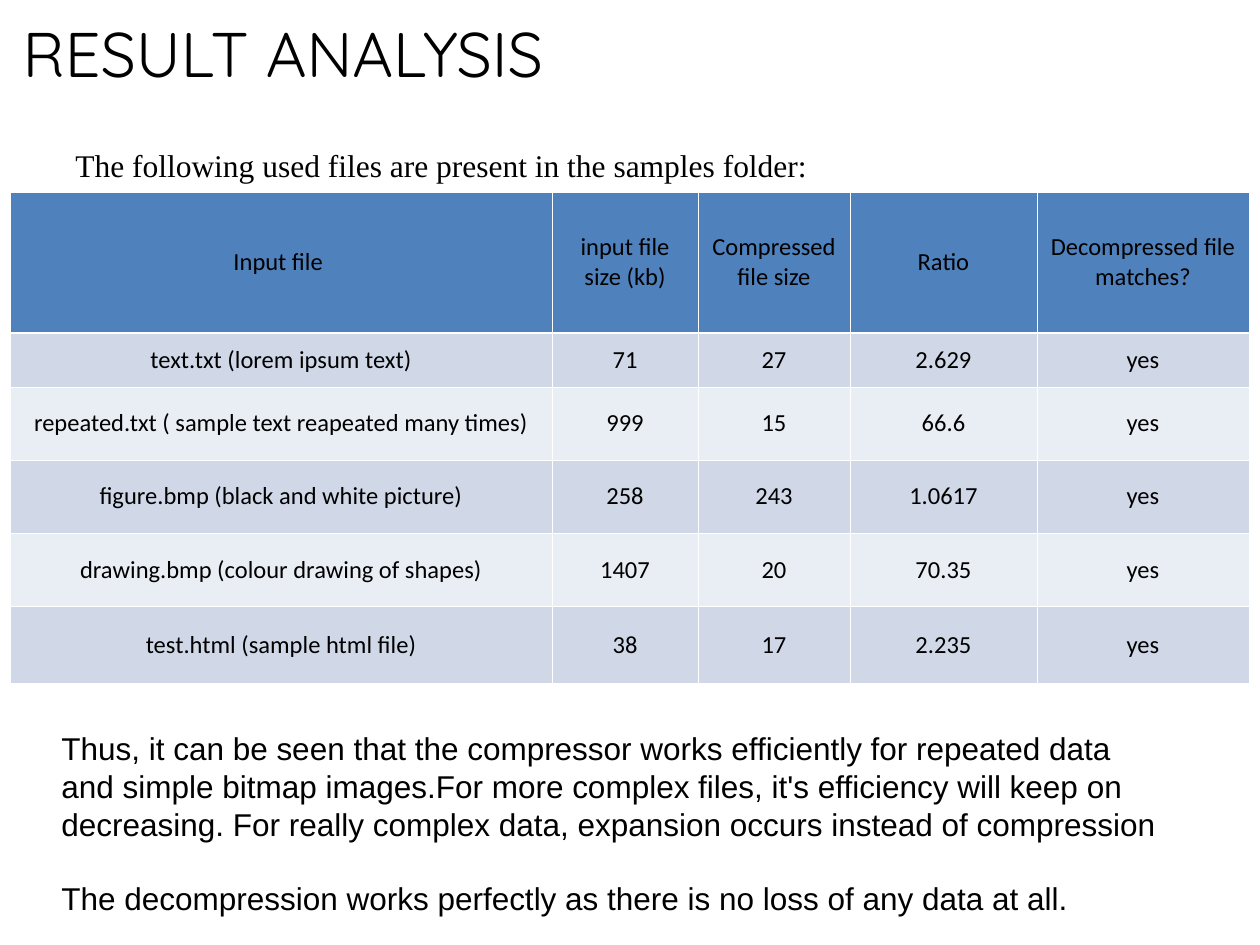
from lxml.etree import SubElement
from pptx import Presentation
from pptx.dml.color import RGBColor
from pptx.enum.text import MSO_ANCHOR, MSO_AUTO_SIZE, PP_ALIGN
from pptx.oxml.ns import qn
from pptx.util import Emu, Pt

BLACK = RGBColor(0x00, 0x00, 0x00)
WHITE = RGBColor(0xFF, 0xFF, 0xFF)
HEADER_BLUE = RGBColor(0x4F, 0x81, 0xBD)
BAND_DARK = RGBColor(0xD0, 0xD8, 0xE8)
BAND_LIGHT = RGBColor(0xE9, 0xED, 0xF4)

RESULTS = [
    ["Input file ", "input file size (kb)", "Compressed file size", "Ratio",
     "Decompressed file matches?"],
    ["text.txt (lorem ipsum text)", "71", "27", "2.629", "yes"],
    ["repeated.txt ( sample text reapeated many times)", "999", "15", "66.6", "yes"],
    ["figure.bmp (black and white picture)", "258", "243", "1.0617", "yes"],
    ["drawing.bmp (colour drawing of shapes)", "1407", "20", "70.35", "yes"],
    ["test.html (sample html file)", "38", "17", "2.235", "yes"],
]
COLUMN_WIDTHS = [542, 146, 152, 187, 212]
ROW_HEIGHTS = [141, 54, 73, 73, 74, 77]
CONCLUSIONS = [
    "Thus, it can be seen that the compressor works efficiently for repeated data "
    "and simple bitmap images.For more complex files, it's efficiency will keep on "
    "decreasing. For really complex data, expansion occurs instead of compression",
    "The decompression works perfectly as there is no loss of any data at all.",
]


def px(length):
    return Emu(round(length * 914400 / 126))


class SlideBuilder:
    """Holds the style and the current slide, and adds elements to it."""

    def __init__(self, slide):
        self.slide = slide
        self.color = BLACK
        self.thin, self.thick = Pt(0.45), Pt(1.47)

    def style(self, paragraph, font_name, size):
        paragraph.font.name = font_name
        paragraph.font.size = Pt(size)
        paragraph.font.color.rgb = self.color

    def title(self, text, left, top, width, height):
        title = self.slide.shapes.title
        title.left, title.top = px(left), px(top)
        title.width, title.height = px(width), px(height)
        frame = title.text_frame
        frame.text = text
        frame.auto_size = MSO_AUTO_SIZE.NONE
        frame.vertical_anchor = MSO_ANCHOR.MIDDLE
        frame.paragraphs[0].alignment = PP_ALIGN.LEFT
        self.style(frame.paragraphs[0], "Quicksand", 36)

    def text(self, paragraphs, left, top, width, height, font_name, gap=0):
        box = self.slide.shapes.add_textbox(px(left), px(top), px(width), px(height))
        frame = box.text_frame
        frame.word_wrap = True
        frame.text = "\n".join(paragraphs)
        for index, paragraph in enumerate(frame.paragraphs):
            self.style(paragraph, font_name, 18)
            if index:
                paragraph.space_before = Pt(gap)
        return frame

    def border(self, cell, side, width):
        line = SubElement(cell._tc.get_or_add_tcPr(), qn(f"a:ln{side}"), w=str(width))
        fill = SubElement(line, qn("a:solidFill"))
        SubElement(fill, qn("a:srgbClr"), val=str(WHITE))

    def cell(self, cell, text, row):
        for side in "LRTB":
            under_header = (row, side) in ((0, "B"), (1, "T"))
            self.border(cell, side, self.thick if under_header else self.thin)
        cell.fill.solid()
        band = BAND_DARK if row % 2 else BAND_LIGHT
        cell.fill.fore_color.rgb = band if row else HEADER_BLUE
        cell.vertical_anchor = MSO_ANCHOR.MIDDLE
        cell.text = text
        paragraph = cell.text_frame.paragraphs[0]
        paragraph.alignment = PP_ALIGN.CENTER
        paragraph.space_before = Pt(3.5)
        self.style(paragraph, "Calibri", 14)

    def table(self, rows, left, top, widths, heights):
        table = self.slide.shapes.add_table(
            len(rows), len(widths), px(left), px(top), px(sum(widths)), px(sum(heights))
        ).table
        for column, width in zip(table.columns, widths):
            column.width = px(width)
        for index, (row, height) in enumerate(zip(table.rows, heights)):
            row.height = px(height)
            for cell, text in zip(row.cells, rows[index]):
                self.cell(cell, text, index)


def main():
    presentation = Presentation()
    presentation.slide_width, presentation.slide_height = px(1260), px(945)
    builder = SlideBuilder(presentation.slides.add_slide(presentation.slide_layouts[5]))

    builder.title("RESULT ANALYSIS", 10, 6, 631, 92)
    intro = builder.text(
        ["The following used files are present in the samples folder:"],
        49, 147, 946, 44, "Times New Roman",
    ).paragraphs[0]
    intro.line_spacing = 0.8
    intro.space_before = Pt(4.5)
    indents = intro._p.get_or_add_pPr()
    indents.set("marL", str(px(33)))
    indents.set("indent", str(px(-19)))

    builder.table(RESULTS, 10, 192, COLUMN_WIDTHS, ROW_HEIGHTS)
    conclusion = builder.text(CONCLUSIONS, 49, 723, 1126, 202, "Arial", gap=21)
    conclusion.auto_size = MSO_AUTO_SIZE.SHAPE_TO_FIT_TEXT
    presentation.save("out.pptx")


if __name__ == "__main__":
    main()
